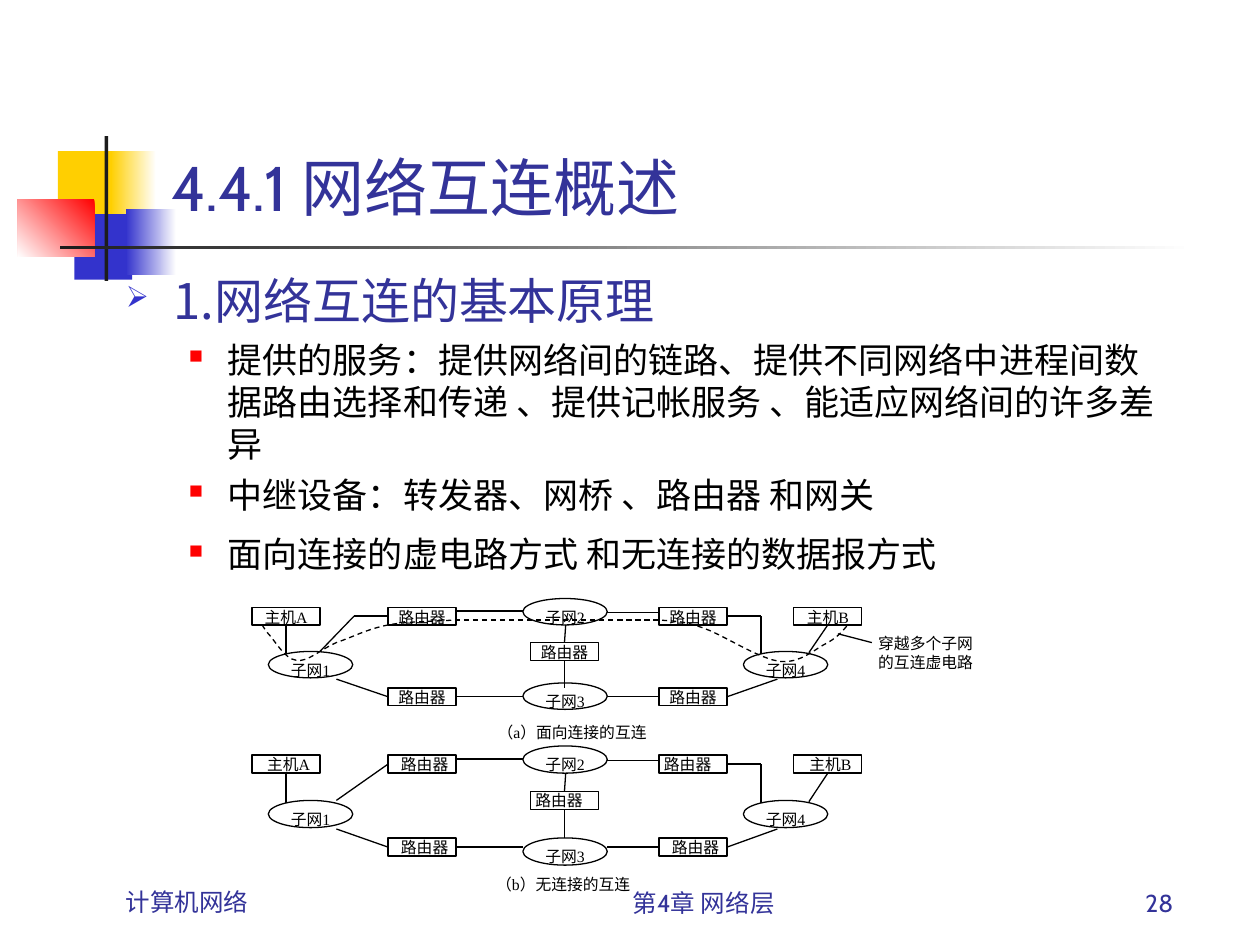
from dataclasses import dataclass
from typing import Optional

from lxml.etree import SubElement as Sub
from pptx import Presentation
from pptx.dml.color import RGBColor as Rgb
from pptx.enum.dml import MSO_LINE_DASH_STYLE as Dash
from pptx.enum.shapes import MSO_CONNECTOR as Conn, MSO_SHAPE as Kind
from pptx.enum.text import MSO_ANCHOR as Anchor, PP_ALIGN as Align
from pptx.oxml.ns import qn
from pptx.util import Cm, Pt

HUE = {"gold": "FFCF01", "blue": "3333CC", "red": "FF0000", "dark": "1C1C1C",
       "navy": "333399", "black": "000000", "white": "FFFFFF"}
SANS, HAN, LATIN = "Cabin", "Noto Sans CJK SC", "Times New Roman"
PAD = (0.1, 0.05, 0.1, 0.05)
BARE = (0, 0, 0, 0)


@dataclass
class Block:
    box: tuple
    hue: str
    end: str = ""
    angle: int = 180


@dataclass
class Line:
    text: str
    size: int
    hue: str = "black"
    font: str = HAN
    align: Align = Align.LEFT
    before: int = 0
    bullet: str = ""
    mark: str = "red"
    percent: int = 55
    left: float = 0.81
    hang: float = 0.31


@dataclass
class Node:
    name: str
    text: str
    left: float
    top: float


@dataclass
class Link:
    start: tuple
    stop: tuple
    head: Optional[tuple] = None
    tail: Optional[tuple] = None


@dataclass
class Panel:
    top: float
    scale: float
    low: float
    inset: float
    flush: tuple
    links: list
    note: str
    spot: tuple


BLOCKS = [
    Block((0.46, 1.2, 0.48, 0.52), "gold"),
    Block((0.88, 1.2, 0.36, 0.52), "white", "gold"),
    Block((0.59, 1.7, 0.46, 0.52), "blue"),
    Block((1, 1.66, 0.4, 0.52), "white", "blue"),
    Block((0.14, 1.58, 0.61, 0.46), "red", "white", 225),
    Block((0.83, 1.08, 0.03, 1.15), "dark"),
    Block((0.48, 1.95, 9, 0.03), "white", "dark"),
]
BODY = [
    Line("1.网络互连的基本原理", 28, "navy", before=7, bullet="➢", mark="blue",
         percent=60, left=0.38, hang=0.38),
    Line("提供的服务：提供网络间的链路、提供不同网络中进程间数据路由选择和传递 、"
         "提供记帐服务 、能适应网络间的许多差异", 20, before=5, bullet="■"),
    Line("中继设备：转发器、网桥 、路由器 和网关", 20, before=5, bullet="■"),
    Line("面向连接的虚电路方式 和无连接的数据报方式", 20, before=10, bullet="■"),
]
FOOT = [
    ("计算机网络", (0.9, 6.82, 2.08, 0.5), Align.LEFT),
    ("第4章 网络层", (4, 6.83, 3.17, 0.5), Align.CENTER),
    ("28", (7.7, 6.83, 1.71, 0.5), Align.RIGHT),
]
BOXES = [
    Node("host a", "主机A", 2, 0.07), Node("host b", "主机B", 6.3, 0.07),
    Node("r1", "路由器", 3.08, 0.07), Node("r2", "路由器", 5.23, 0.07),
    Node("r3", "路由器", 5.23, 0.71), Node("r4", "路由器", 3.08, 0.71),
    Node("mid", "路由器", 4.21, 0.35),
]
NETS = [Node("n1", "子网1", 2.13, 0.42), Node("n2", "子网2", 4.15, 0),
        Node("n4", "子网4", 5.9, 0.42)]
LINKS = [
    Link((2.27, 0.21), (2.27, 0.44), head=("host a", 2)),
    Link((3.61, 0.1), (4.15, 0.1)),
    Link((4.82, 0.11), (5.23, 0.11)),
    Link((5.77, 0.14), (6.04, 0.14), head=("r2", 3)),
    Link((6.04, 0.14), (6.04, 0.44)),
    Link((6.42, 0.43), (6.57, 0.21), tail=("host b", 2)),
    Link((2.67, 0.64), (3.08, 0.78), tail=("r4", 1)),
    Link((3.61, 0.78), (4.15, 0.78), head=("r4", 3)),
    Link((4.82, 0.78), (5.23, 0.78), tail=("r3", 1)),
    Link((5.77, 0.78), (6.17, 0.64), head=("r3", 3)),
    Link((4.49, 0.21), (4.49, 0.35), tail=("mid", 0)),
    Link((4.48, 0.49), (4.48, 0.71), head=("mid", 2)),
]
PANELS = [
    Panel(4.75, 1, 0.67, 0, (),
          [Link((2.54, 0.42), (2.81, 0.14)),
           Link((2.81, 0.14), (3.08, 0.14), tail=("r1", 1))],
          "（a）面向连接的互连", (3.52, 5.74, 1.61, 0.14)),
    Panel(5.92, 1.03, 0.73, 0.04, ("r2", "mid"),
          [Link((2.67, 0.42), (3.08, 0.14), tail=("r1", 1))],
          "（b）无连接的互连", (3.39, 6.94, 1.61, 0.14)),
]
CURVES = [
    [(2.08, 4.96), (2.09, 4.97), (2.09, 4.98), (2.13, 5.03), (2.18, 5.08),
     (2.26, 5.23), (2.35, 5.24), (2.44, 5.26), (2.55, 5.15), (2.67, 5.1),
     (2.79, 5.06), (2.92, 4.99), (3.08, 4.96), (3.23, 4.93), (3.51, 4.93),
     (3.62, 4.92)],
    [(6.72, 4.97), (6.7, 4.99), (6.66, 5.05), (6.57, 5.1), (6.48, 5.14),
     (6.35, 5.27), (6.19, 5.25), (6.02, 5.23), (5.73, 5.03), (5.57, 4.98),
     (5.41, 4.92), (5.3, 4.93), (5.23, 4.92)],
]


def cm(inch: float) -> Cm:
    return Cm(inch * 2.54)


def rgb(hue: str) -> Rgb:
    return Rgb.from_string(HUE[hue])


def apply(item, **form) -> None:
    for key, value in form.items():
        setattr(item, key, value)


def write(shape, lines: list, pad: tuple = BARE, anchor=Anchor.TOP) -> None:
    frame = shape.text_frame
    sides = ("margin_left", "margin_top", "margin_right", "margin_bottom")
    apply(frame, word_wrap=True, vertical_anchor=anchor,
          **{side: cm(gap) for side, gap in zip(sides, pad)})
    for i, line in enumerate(lines):
        para = frame.add_paragraph() if i else frame.paragraphs[0]
        apply(para, alignment=line.align, space_before=Pt(line.before),
              line_spacing=Pt(line.size * 1.2))
        run = para.add_run()
        run.text = line.text
        apply(run.font, size=Pt(line.size), name=line.font)
        run.font.color.rgb = rgb(line.hue)
        Sub(run.font._element, qn("a:ea")).set("typeface", HAN)
        if line.bullet:
            props = para._p.get_or_add_pPr()
            props.set("marL", str(cm(line.left)))
            props.set("indent", str(-cm(line.hang)))
            Sub(Sub(props, qn("a:buClr")), qn("a:srgbClr")).set("val", HUE[line.mark])
            Sub(props, qn("a:buSzPct")).set("val", str(line.percent * 1000))
            Sub(props, qn("a:buChar")).set("char", line.bullet)


def label(deck, box: tuple, lines: list, pad=BARE, anchor=Anchor.TOP) -> None:
    write(deck.add_textbox(*map(cm, box)), lines, pad, anchor)


def small(text: str, align=Align.CENTER) -> list:
    return [Line(text, 9, font=LATIN, align=align)]


def stroke(shape, dash=None) -> None:
    shape.line.color.rgb = rgb("black")
    apply(shape.line, width=Pt(0.75), dash_style=dash)


def block(deck, item: Block) -> None:
    shape = deck.add_shape(Kind.RECTANGLE, *map(cm, item.box))
    shape.shadow.inherit = False
    shape.line.fill.background()
    if item.end:
        shape.fill.gradient()
        shape.fill.gradient_angle = item.angle
        for stop, hue in zip(shape.fill.gradient_stops, (item.hue, item.end)):
            stop.color.rgb = rgb(hue)
    else:
        shape.fill.solid()
        shape.fill.fore_color.rgb = rgb(item.hue)


def node(deck, kind, box: tuple, lines: list, pad: tuple):
    shape = deck.add_shape(kind, *map(cm, box))
    shape.shadow.inherit = False
    shape.fill.solid()
    shape.fill.fore_color.rgb = rgb("white")
    stroke(shape)
    write(shape, lines, pad)
    return shape


def wire(deck, start: tuple, stop: tuple, dash=None):
    line = deck.add_connector(Conn.STRAIGHT, *map(cm, start + stop))
    stroke(line, dash)
    Sub(line._element.spPr, qn("a:effectLst"))
    return line


def panel(deck, plan: Panel) -> None:
    def drop(y: float) -> float:
        return plan.top + y * plan.scale

    made = {}
    for item in BOXES:
        align = Align.JUSTIFY if item.name in plan.flush else Align.CENTER
        box = (item.left, drop(item.top), 0.54, 0.14 * plan.scale)
        made[item.name] = node(deck, Kind.RECTANGLE, box, small(item.text, align),
                               (plan.inset, 0, 0, 0))
    for item in NETS + [Node("n3", "子网3", 4.15, plan.low / plan.scale)]:
        box = (item.left, drop(item.top), 0.67, 0.21 * plan.scale)
        node(deck, Kind.OVAL, box, small(item.text), (0, 0.04, 0, 0.05))
    for link in LINKS + plan.links:
        (x, y), (u, v) = link.start, link.stop
        line = wire(deck, (x, drop(y)), (u, drop(v)))
        if link.head:
            line.begin_connect(made[link.head[0]], link.head[1])
        if link.tail:
            line.end_connect(made[link.tail[0]], link.tail[1])
    label(deck, plan.spot, small(plan.note, Align.RIGHT))


def curve(deck, knots: list, steps: int = 8) -> None:
    dots = []
    for i in range(0, len(knots) - 1, 3):
        for t in (n / steps for n in range(1, steps + 1)):
            rate = ((1 - t) ** 3, 3 * t * (1 - t) ** 2, 3 * t * t * (1 - t), t ** 3)
            dots.append(tuple(cm(sum(r * p[axis] for r, p in zip(rate, knots[i:i + 4])))
                              for axis in (0, 1)))
    pen = deck.build_freeform(*map(cm, knots[0]))
    pen.add_line_segments(dots, close=False)
    shape = pen.convert_to_shape()
    shape.shadow.inherit = False
    shape.fill.background()
    stroke(shape, Dash.DASH)


def main() -> None:
    show = Presentation()
    apply(show, slide_width=cm(10), slide_height=cm(7.5))
    deck = show.slides.add_slide(show.slide_layouts[6]).shapes
    for item in BLOCKS:
        block(deck, item)
    label(deck, (1.26, 0.23, 8.52, 1.6),
          [Line("4.4.1 网络互连概述", 36, "navy", SANS)], PAD, Anchor.BOTTOM)
    label(deck, (0.9, 2.1, 8.5, 4.5), BODY, PAD)
    for plan in PANELS:
        panel(deck, plan)
    wire(deck, (3.61, 4.92), (5.23, 4.92), Dash.DASH)
    for knots in CURVES:
        curve(deck, knots)
    label(deck, (6.94, 5.03, 0.81, 0.28), small("穿越多个子网的互连虚电路"))
    wire(deck, (6.65, 5.03), (6.92, 5.1))
    for text, box, align in FOOT:
        label(deck, box, [Line(text, 14, "navy", SANS, align)], PAD, Anchor.BOTTOM)
    show.save("out.pptx")


if __name__ == "__main__":
    main()
